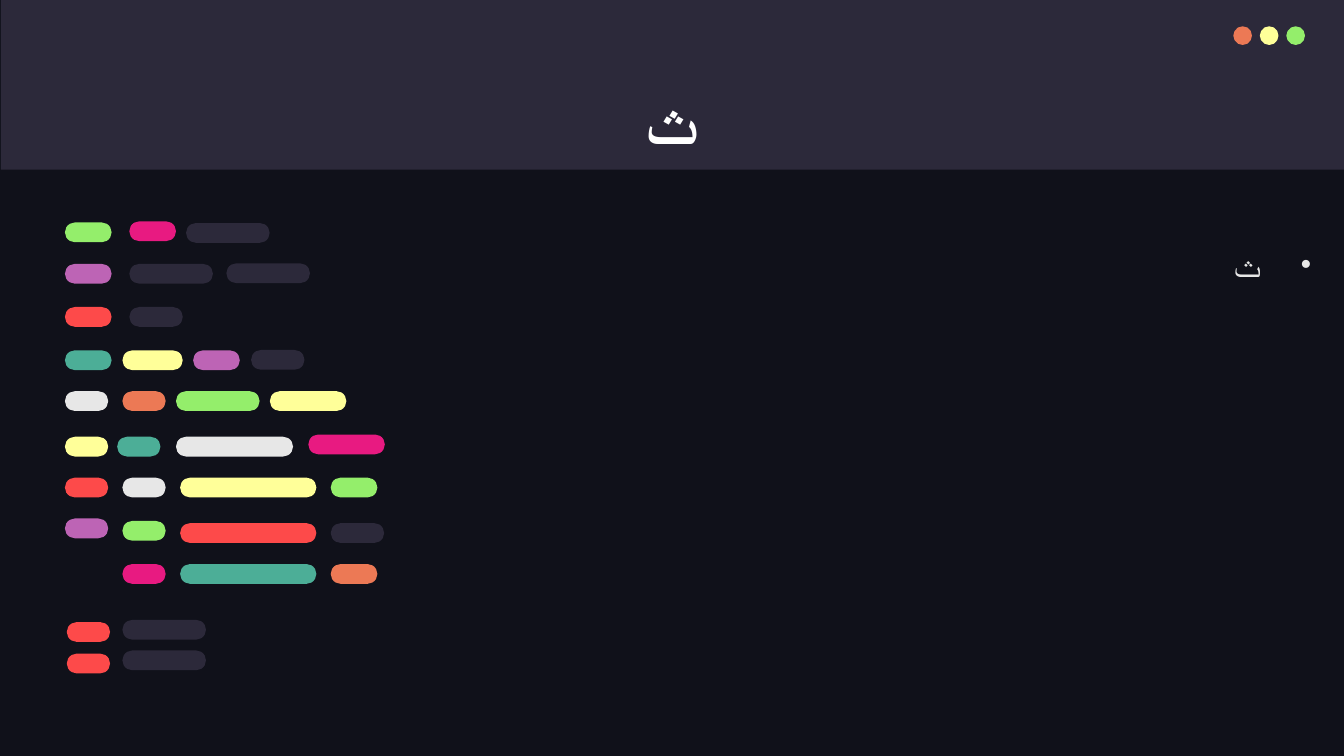
"""Build a dark code-editor slide with a title band, a bullet and coloured code bars."""
from dataclasses import dataclass

from lxml import etree
from pptx import Presentation
from pptx import util as u
from pptx.dml.color import RGBColor
from pptx.enum import shapes, text
from pptx.oxml import ns

COLOURS = {
    "night": "10111A", "slate": "2C293A", "orange": "EC7955",
    "yellow": "FFFF99", "green": "94EE6B", "pink": "E81A81",
    "purple": "BD64B5", "red": "FD4A4A", "teal": "4CAE97",
    "pale": "E7E7E7", "white": "FFFFFF",
}
BAR_HEIGHT = 10.6
DOT_SIZE = 10


@dataclass(frozen=True)
class Bar:
    left: float
    top: float
    width: float
    colour: str


BARS = [
    Bar(34.8, 119.2, 25, "green"), Bar(69.3, 118.6, 25, "pink"), Bar(99.7, 119.5, 44.8, "slate"),
    Bar(34.8, 141.4, 25, "purple"), Bar(69.3, 141.4, 44.8, "slate"), Bar(121.3, 141.1, 44.8, "slate"),
    Bar(34.8, 164.5, 25, "red"), Bar(69.3, 164.5, 28.6, "slate"),
    Bar(34.8, 187.7, 25, "teal"), Bar(65.6, 187.7, 32.3, "yellow"),
    Bar(103.5, 187.7, 25, "purple"), Bar(134.5, 187.5, 28.6, "slate"),
    Bar(34.8, 209.6, 23.2, "pale"), Bar(65.6, 209.6, 23.2, "orange"),
    Bar(94.3, 209.6, 44.8, "green"), Bar(144.6, 209.6, 41, "yellow"),
    Bar(34.8, 234, 23.2, "yellow"), Bar(62.8, 234, 23.2, "teal"),
    Bar(94.3, 234, 62.7, "pale"), Bar(165.2, 232.8, 41, "pink"),
    Bar(34.8, 255.9, 23.2, "red"), Bar(65.6, 255.9, 23.2, "pale"),
    Bar(96.5, 255.9, 73, "yellow"), Bar(177.2, 255.9, 25, "green"),
    Bar(34.8, 277.8, 23.2, "purple"), Bar(65.6, 279.1, 23.2, "green"),
    Bar(96.5, 280.3, 73, "red"), Bar(177.2, 280.3, 28.6, "slate"),
    Bar(65.6, 302.2, 23.2, "pink"), Bar(96.5, 302.2, 73, "teal"), Bar(177.2, 302.2, 25, "orange"),
    Bar(35.8, 333.3, 23.2, "red"), Bar(65.6, 332.1, 44.8, "slate"),
    Bar(35.8, 350.2, 23.2, "red"), Bar(65.6, 348.5, 44.8, "slate"),
]


def rgb(name: str) -> RGBColor:
    """Return the named colour."""
    return RGBColor.from_string(COLOURS[name])


def draw_shape(owner, kind, left: float, top: float, width: float, height: float, colour: str):
    """Draw a flat, filled shape without an outline."""
    shape = owner.shapes.add_shape(kind, u.Pt(left), u.Pt(top), u.Pt(width), u.Pt(height))
    shape.shadow.inherit = False
    shape.fill.solid()
    shape.fill.fore_color.rgb = rgb(colour)
    shape.line.fill.background()
    return shape


def draw_bar(owner, bar: Bar) -> None:
    """Draw one fully rounded code bar."""
    shape = draw_shape(owner, shapes.MSO_SHAPE.ROUNDED_RECTANGLE,
                       bar.left, bar.top, bar.width, BAR_HEIGHT, bar.colour)
    shape.adjustments[0] = 0.5


def write_text(box, words: str, *, font: str, size: float, colour: str,
               align, bold: bool = False, spacing: float = 1.0):
    """Write one formatted paragraph into a box and return it."""
    frame = box.text_frame
    frame.word_wrap = True
    frame.auto_size = text.MSO_AUTO_SIZE.NONE
    frame.vertical_anchor = text.MSO_ANCHOR.TOP
    frame.margin_left = frame.margin_right = u.Pt(7.2)
    frame.margin_top = frame.margin_bottom = u.Pt(7.2)
    para = frame.paragraphs[0]
    para.alignment = align
    para.line_spacing = spacing
    span = para.add_run()
    span.text = words
    span.font.name = font
    span.font.size = u.Pt(size)
    span.font.bold = bold
    span.font.color.rgb = rgb(colour)
    for script in ("a:ea", "a:cs"):
        etree.SubElement(span.font._element, ns.qn(script), typeface=font)
    return para


def add_right_to_left_bullet(para, colour: str, indent: float) -> None:
    """Give a paragraph right-to-left direction and a hanging bullet."""
    properties = para._p.get_or_add_pPr()
    properties.set("marL", str(u.Pt(indent)))
    properties.set("indent", str(-u.Pt(indent)))
    properties.set("rtl", "1")
    bullet_colour = etree.SubElement(properties, ns.qn("a:buClr"))
    etree.SubElement(bullet_colour, ns.qn("a:srgbClr"), val=COLOURS[colour])
    etree.SubElement(properties, ns.qn("a:buFont"), typeface="Times New Roman")
    etree.SubElement(properties, ns.qn("a:buChar"), char="•")


def main() -> None:
    """Build and save the deck."""
    deck = Presentation()
    deck.slide_width, deck.slide_height = u.Pt(720), u.Pt(405)
    page = deck.slides.add_slide(deck.slide_layouts[5])
    page.background.fill.solid()
    page.background.fill.fore_color.rgb = rgb("night")

    draw_shape(page, shapes.MSO_SHAPE.RECTANGLE, 0.5, 0, 719.5, 91, "slate")
    dots = page.shapes.add_group_shape()
    for index, colour in enumerate(("orange", "yellow", "green")):
        draw_shape(dots, shapes.MSO_SHAPE.OVAL, 660.7 + 14.2 * index, 14.1,
                   DOT_SIZE, DOT_SIZE, colour)

    title = page.shapes.title
    title.left, title.top = u.Pt(56.7), u.Pt(35.3)
    title.width, title.height = u.Pt(606.6), u.Pt(45.4)
    write_text(title, "ث", font="Noto Sans Mono", size=35, colour="white",
               align=text.PP_ALIGN.CENTER, bold=True)
    page.shapes._spTree.append(title._element)

    body = page.shapes.add_textbox(u.Pt(217.4), u.Pt(120.2), u.Pt(492.5), u.Pt(242))
    para = write_text(body, "ث", font="Times New Roman", size=18, colour="pale",
                      align=text.PP_ALIGN.RIGHT, spacing=1.15)
    add_right_to_left_bullet(para, "pale", 27)

    code = page.shapes.add_group_shape()
    for bar in BARS:
        draw_bar(code, bar)

    deck.save("out.pptx")


if __name__ == "__main__":
    main()
